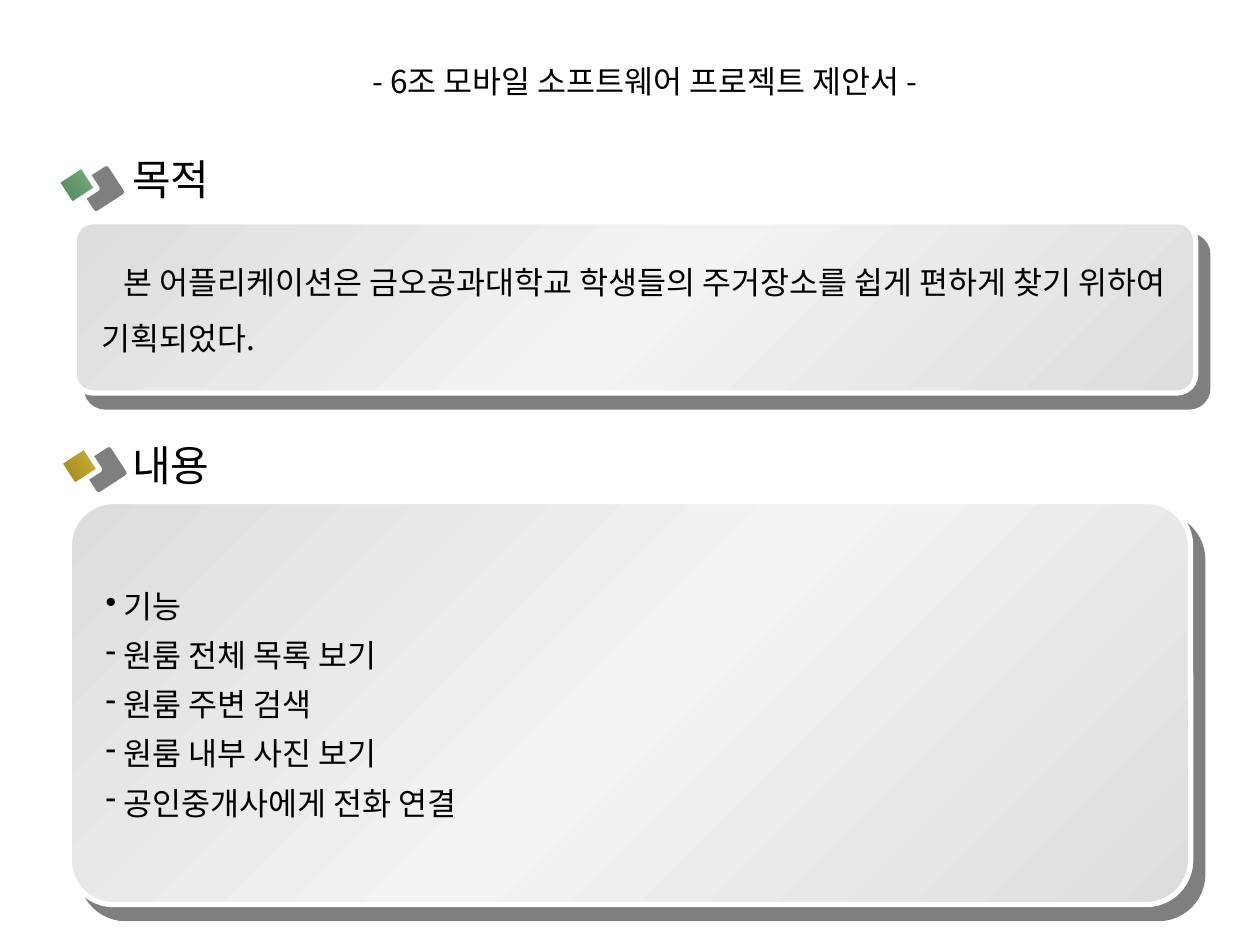
from dataclasses import dataclass
from typing import Optional

import pptx
import pptx.dml.color
import pptx.enum.shapes
import pptx.enum.text
import pptx.oxml.ns
import pptx.oxml.xmlchemy
import pptx.util
from lxml import etree

Inches = pptx.util.Inches
Pt = pptx.util.Pt
Align = pptx.enum.text.PP_ALIGN
Anchor = pptx.enum.text.MSO_ANCHOR
qn = pptx.oxml.ns.qn


@dataclass(frozen=True)
class Theme:
    font: str = "Noto Sans CJK KR"
    ink: str = "000000"
    outline: str = "FFFFFF"
    outline_width: float = 3
    panel: tuple = ("DDDDDD", "F3F3F3", "DDDDDD")
    green: tuple = ("75B37E", "54805A")
    gold: tuple = ("D5B631", "988223")
    heading_size: int = 24
    body_size: int = 18


THEME = Theme()


@dataclass(frozen=True)
class Box:
    left: float
    top: float
    width: float
    height: float

    def lengths(self) -> tuple:
        return tuple(map(Inches, (self.left, self.top, self.width, self.height)))


@dataclass(frozen=True)
class Line:
    text: str
    bullet: Optional[str] = None


@dataclass(frozen=True)
class Section:
    heading: str
    heading_box: Box
    marker_box: Box
    marker_colors: tuple
    panel_box: Box
    body_box: Box
    lines: tuple
    spacing: float
    first_indent: float = 0


SECTIONS = (
    Section("목적", Box(0.95, 1.17, 4.68, 0.5),
            Box(0.5, 1.35, 0.22, 0.24), THEME.green,
            Box(0.59, 1.76, 8.9, 1.36), Box(0.71, 1.88, 8.98, 1.01),
            (Line("본 어플리케이션은 금오공과대학교 학생들의 주거장소를 "
                  "쉽게 편하게 찾기 위하여 기획되었다."),),
            1.5, 0.17),
    Section("내용", Box(0.95, 3.44, 4.68, 0.5),
            Box(0.52, 3.58, 0.22, 0.24), THEME.gold,
            Box(0.55, 3.98, 8.9, 3.2), Box(0.74, 4.51, 9.02, 2.07),
            (Line(" 기능", "•"),
             Line(" 원룸 전체 목록 보기", "-"),
             Line(" 원룸 주변 검색", "-"),
             Line(" 원룸 내부 사진 보기", "-"),
             Line(" 공인중개사에게 전화 연결", "-")),
            1.3),
)


def rgb(color: str) -> pptx.dml.color.RGBColor:
    return pptx.dml.color.RGBColor.from_string(color)


def add_color(parent, color: str):
    return etree.SubElement(parent, qn("a:srgbClr"), val=color)


def fill_gradient(shape, colors: tuple, clockwise_angle: int) -> None:
    """Spread the colours evenly along the angle."""
    shape.fill.gradient()
    shape.fill.gradient_angle = -clockwise_angle % 360
    stops = shape._element.spPr.find(qn("a:gradFill")).find(qn("a:gsLst"))
    for stop in list(stops):
        stops.remove(stop)
    for i, color in enumerate(colors):
        position = 100000 * i // (len(colors) - 1)
        add_color(etree.SubElement(stops, qn("a:gs"), pos=str(position)), color)


def add_shadow(shape, distance: float, angle: int) -> None:
    """Cast a hard, half transparent shadow."""
    shape.shadow.inherit = False
    effects = shape._element.spPr.find(qn("a:effectLst"))
    shadow = etree.SubElement(effects, qn("a:outerShdw"), blurRad="0",
                              dist=str(Pt(distance)), dir=str(angle * 60000),
                              algn="ctr", rotWithShape="0")
    etree.SubElement(add_color(shadow, THEME.ink), qn("a:alpha"), val="50000")


def add_block(slide, kind, box: Box, colors: tuple, gradient_angle: int,
              shadow_distance: float, shadow_angle: int):
    block = slide.shapes.add_shape(kind, *box.lengths())
    fill_gradient(block, colors, gradient_angle)
    block.line.color.rgb = rgb(THEME.outline)
    block.line.width = Pt(THEME.outline_width)
    add_shadow(block, shadow_distance, shadow_angle)
    return block


def add_text(slide, box: Box, lines: tuple, size: int, spacing: float = 1.0,
             align=Align.LEFT, anchor=Anchor.TOP, wrap: bool = True,
             first_indent: float = 0) -> None:
    frame = slide.shapes.add_textbox(*box.lengths()).text_frame
    frame.word_wrap = wrap
    frame.auto_size = pptx.enum.text.MSO_AUTO_SIZE.SHAPE_TO_FIT_TEXT
    frame.vertical_anchor = anchor
    frame.text = "\n".join(line.text for line in lines)
    for paragraph, line in zip(frame.paragraphs, lines):
        paragraph.alignment = align
        paragraph.line_spacing = spacing
        properties = paragraph._p.get_or_add_pPr()
        properties.set("marL", "0")
        properties.set("indent", str(Inches(first_indent)))
        if line.bullet:
            etree.SubElement(properties, qn("a:buChar"), char=line.bullet)
        for run in paragraph.runs:
            run.font.size = Pt(size)
            run.font.color.rgb = rgb(THEME.ink)
            run.font.name = THEME.font
            etree.SubElement(run._r.get_or_add_rPr(), qn("a:ea"),
                             typeface=THEME.font)


def add_section(slide, section: Section) -> None:
    shapes = pptx.enum.shapes.MSO_SHAPE
    add_text(slide, section.heading_box, (Line(section.heading),),
             THEME.heading_size)
    panel = add_block(slide, shapes.ROUNDED_RECTANGLE, section.panel_box,
                      THEME.panel, 45, 10.6, 49)
    panel.adjustments[0] = 0.11
    add_text(slide, section.body_box, section.lines, THEME.body_size,
             section.spacing, anchor=Anchor.MIDDLE,
             first_indent=section.first_indent)
    marker = add_block(slide, shapes.RECTANGLE, section.marker_box,
                       section.marker_colors, 90, 14.1, 8)
    marker.rotation = 57


def main() -> None:
    deck = pptx.Presentation()
    deck.slide_width, deck.slide_height = Inches(10), Inches(7.5)
    slide = deck.slides.add_slide(deck.slide_layouts[6])
    for section in SECTIONS:
        add_section(slide, section)
    add_text(slide, Box(2.43, 0.44, 5.32, 0.4),
             (Line(" - 6조 모바일 소프트웨어 프로젝트 제안서 -"),),
             THEME.body_size, align=Align.CENTER, wrap=False)
    deck.save("out.pptx")


if __name__ == "__main__":
    main()
